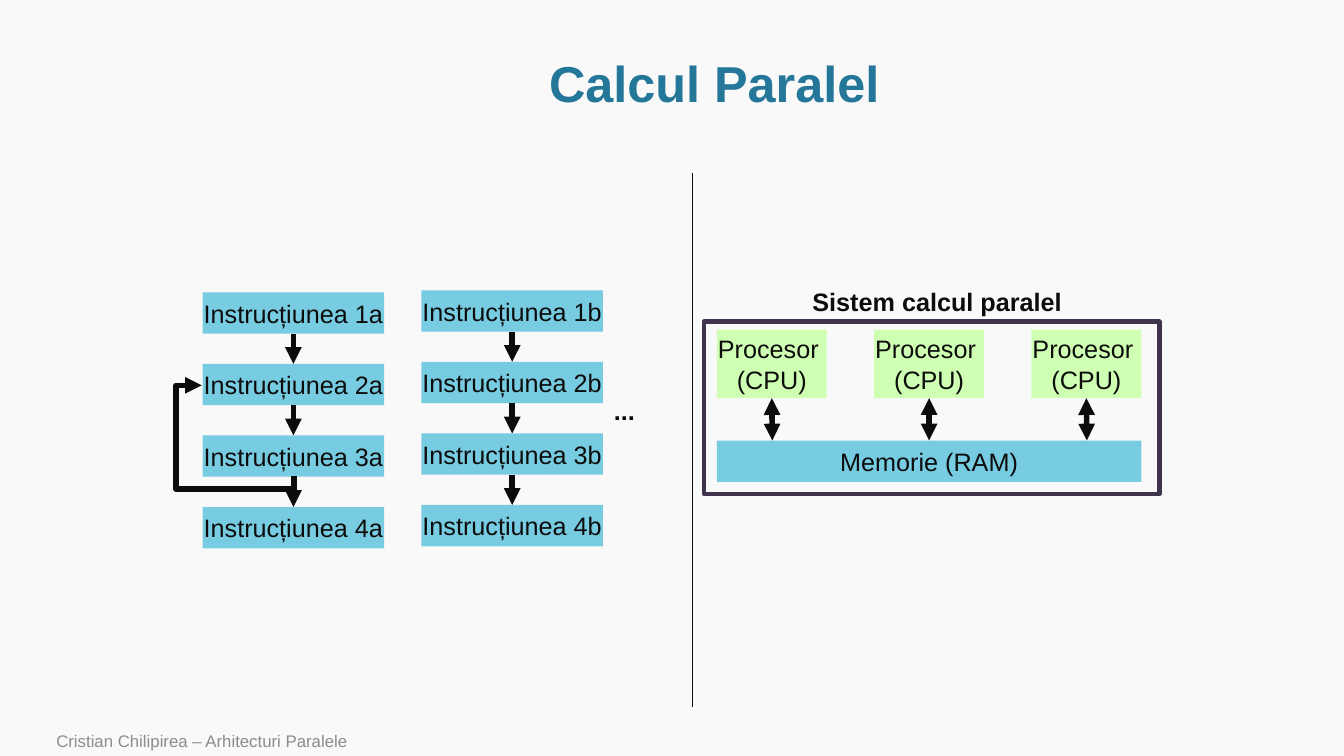
from lxml import etree
from pptx import Presentation
from pptx.dml.color import RGBColor
from pptx.enum.shapes import MSO_CONNECTOR, MSO_SHAPE
from pptx.enum.text import MSO_ANCHOR, MSO_AUTO_SIZE, PP_ALIGN
from pptx.oxml.ns import qn
from pptx.util import Inches, Pt

STRAIGHT, ELBOW = MSO_CONNECTOR.STRAIGHT, MSO_CONNECTOR.ELBOW
RECT = MSO_SHAPE.RECTANGLE
MIDDLE, BOTTOM, TOP = MSO_ANCHOR.MIDDLE, MSO_ANCHOR.BOTTOM, MSO_ANCHOR.TOP
LEFT, CENTER = PP_ALIGN.LEFT, PP_ALIGN.CENTER
FIT = MSO_AUTO_SIZE.SHAPE_TO_FIT_TEXT
INK, BLUE, GREEN = "0C0C0C", "78CCE2", "CFFFB3"


def color(text):
    """Turn a hex string into a colour."""
    return RGBColor.from_string(text)


def write(shape, lines, size=18, ink=INK, bold=False, align=CENTER, anchor=MIDDLE, wrap=False):
    """Fill a shape with one formatted run per line."""
    frame = shape.text_frame
    frame.word_wrap = wrap
    frame.vertical_anchor = anchor
    for i, line in enumerate(lines):
        para = frame.add_paragraph() if i else frame.paragraphs[0]
        para.alignment = align
        run = para.add_run()
        run.text = line
        font = run.font
        font.name, font.size, font.bold = "Arial", Pt(size), bold
        font.color.rgb = color(ink)


def box(slide, place, fill=None, lines=()):
    """Add a rectangle without outline, filled and labelled as asked."""
    shape = slide.shapes.add_shape(RECT, *map(Inches, place))
    shape.shadow.inherit = False
    shape.line.fill.background()
    if fill:
        shape.fill.solid()
        shape.fill.fore_color.rgb = color(fill)
    else:
        shape.fill.background()
    write(shape, lines)
    return shape


def label(slide, place, text, **style):
    """Add a text box with one line of text."""
    shape = slide.shapes.add_textbox(*map(Inches, place))
    write(shape, [text], align=LEFT, **style)
    return shape


def link(slide, start, end, width=4, heads=(), kind=STRAIGHT):
    """Add a connector with triangles at the named ends."""
    line = slide.shapes.add_connector(kind, *map(Inches, start + end))
    line.line.color.rgb = color(INK)
    line.line.width = Pt(width)
    stroke = line.line._get_or_add_ln()
    for head in heads:
        etree.SubElement(stroke, qn("a:" + head), type="triangle")
    etree.SubElement(line._element.spPr, qn("a:effectLst"))
    return line


def chain(slide, left, top, suffix):
    """Stack four instructions joined by arrows."""
    steps = []
    mid = left + 0.9
    for i in range(4):
        y = top + 0.71 * i
        step = box(slide, (left, y, 1.8, 0.41), BLUE, [f"Instrucțiunea {i + 1}{suffix}"])
        if steps:
            arrow = link(slide, (mid, y - 0.3), (mid, y), heads=["tailEnd"])
            arrow.begin_connect(steps[-1], 2)
            arrow.end_connect(step, 0)
        steps.append(step)
    return steps


def loop(slide, source, target):
    """Lead an elbow arrow from below one step back to the side of another."""
    line = link(slide, (2.92, 4.73), (2.01, 3.82), heads=["tailEnd"], kind=ELBOW)
    line.begin_connect(source, 2)
    line.end_connect(target, 1)
    form = line._element.spPr.find(qn("a:xfrm"))
    form.attrib.pop("flipV", None)
    form.set("flipH", "1")
    form.set("rot", "5400000")
    shape = line._element.spPr.find(qn("a:prstGeom"))
    shape.set("prst", "bentConnector4")
    guides = shape.find(qn("a:avLst"))
    for name, value in (("adj1", -14300), ("adj2", 127800)):
        etree.SubElement(guides, qn("a:gd"), name=name, fmla=f"val {value}")


def system(slide):
    """Draw processors sharing one memory inside a frame."""
    memory = box(slide, (7.11, 4.37, 4.21, 0.41), BLUE, ["Memorie (RAM)"])
    for i in range(3):
        left = 7.11 + 1.56 * i
        mid = left + 0.55
        unit = box(slide, (left, 3.27, 1.09, 0.68), GREEN, ["Procesor ", "(CPU)"])
        arrow = link(slide, (mid, 3.95), (mid, 4.37), heads=["headEnd", "tailEnd"])
        arrow.begin_connect(unit, 2)
        if i == 1:
            arrow.end_connect(memory, 0)
    name = label(slide, (7.96, 2.79, 2.7, 0.4), "Sistem calcul paralel", bold=True, anchor=TOP)
    name.text_frame.auto_size = FIT
    frame = box(slide, (6.98, 3.19, 4.52, 1.71))
    frame.line.color.rgb = color("3F334D")
    frame.line.width = Pt(3)


def main():
    """Build and save the slide."""
    deck = Presentation()
    deck.slide_width, deck.slide_height = Inches(13.33), Inches(7.5)
    slide = deck.slides.add_slide(deck.slide_layouts[5])
    slide.background.fill.solid()
    slide.background.fill.fore_color.rgb = color("F9F9F9")
    title = slide.shapes.title
    title.left, title.top, title.width, title.height = map(Inches, (1.14, 0.51, 11.89, 0.69))
    write(title, ["Calcul Paralel"], size=36, ink="247798", bold=True, wrap=True)
    title.text_frame.paragraphs[0].line_spacing = 0.9
    system(slide)
    steps = chain(slide, 2.01, 2.9, "a")
    loop(slide, steps[2], steps[1])
    chain(slide, 4.18, 2.88, "b")
    dots = label(slide, (5.99, 3.87, 0.41, 0.4), "...", bold=True, anchor=TOP)
    dots.text_frame.auto_size = FIT
    link(slide, (6.87, 1.72), (6.87, 7.01), width=1)
    label(slide, (0.46, 7.22, 9.82, 0.28), "Cristian Chilipirea – Arhitecturi Paralele",
          size=12, ink="8C8C8C", anchor=BOTTOM, wrap=True)
    deck.save("out.pptx")


if __name__ == "__main__":
    main()
